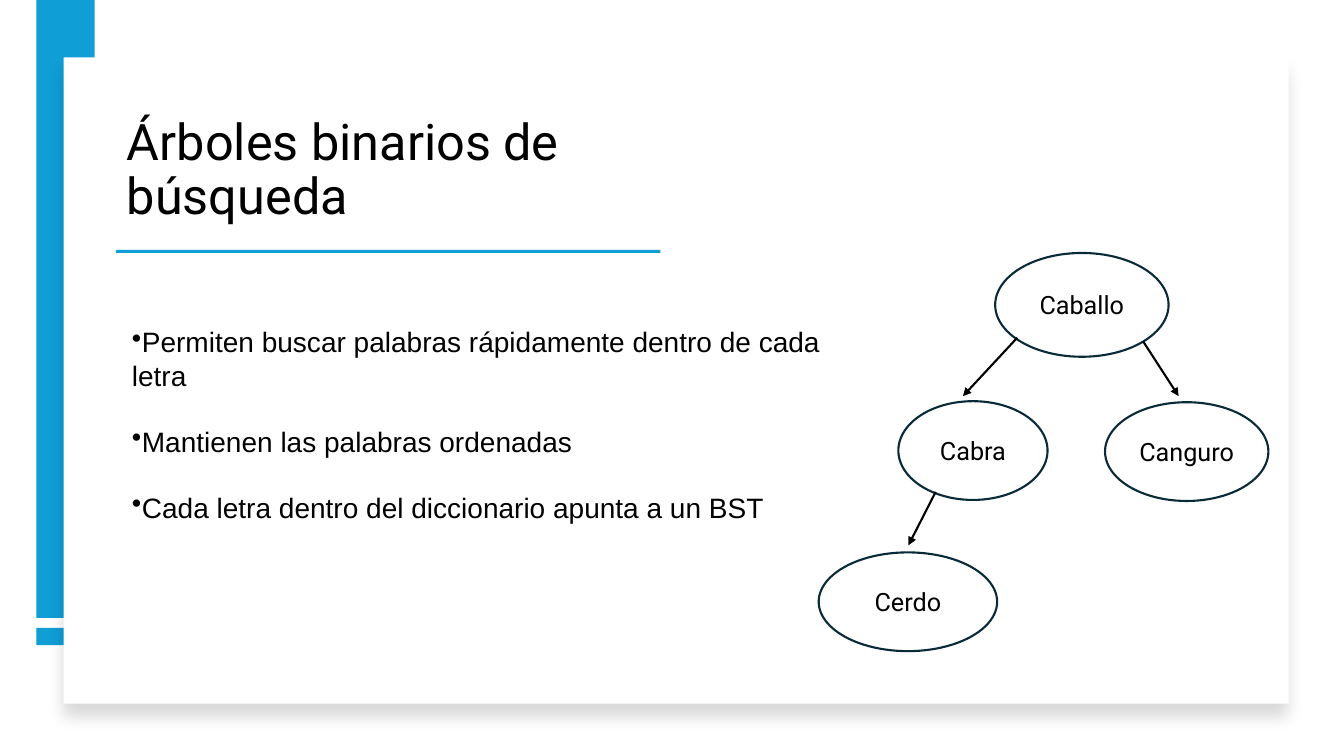
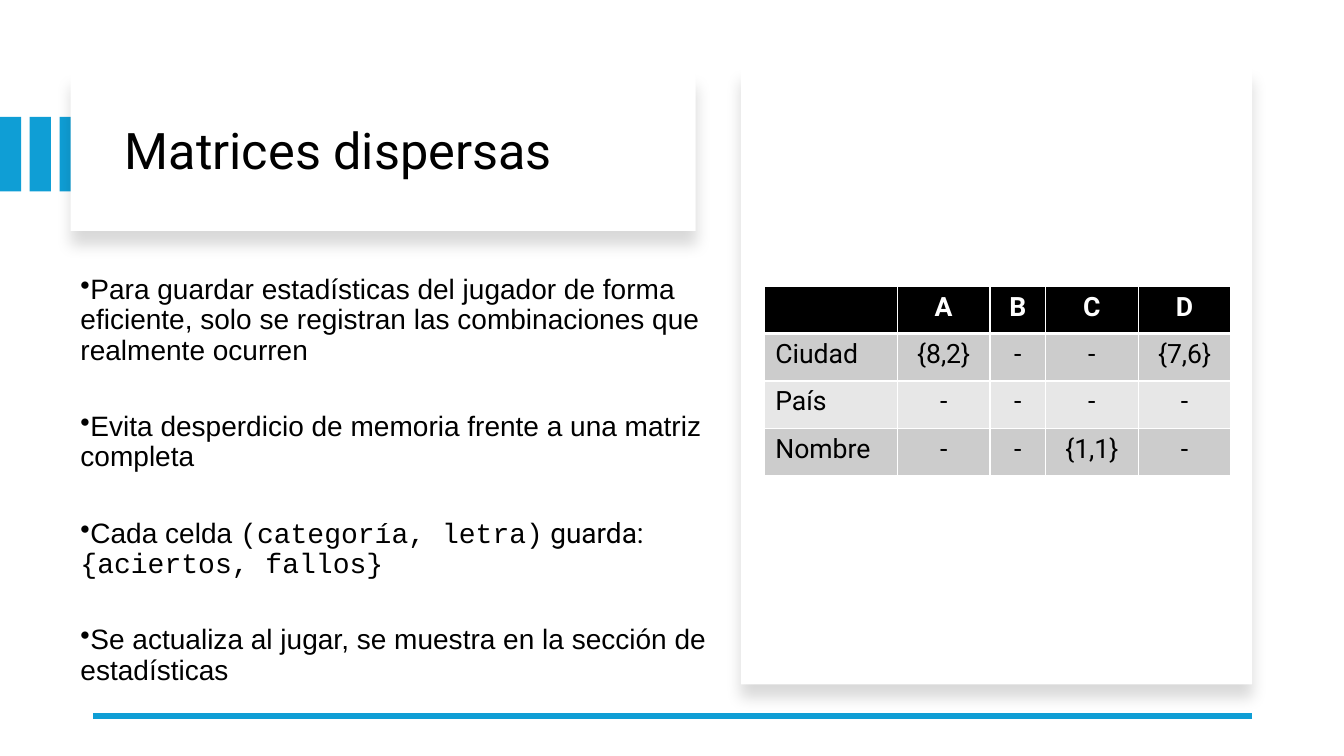
from dataclasses import dataclass

from lxml import etree
from pptx import Presentation
from pptx.dml.color import RGBColor
from pptx.enum.shapes import MSO_CONNECTOR, MSO_SHAPE
from pptx.enum.text import MSO_ANCHOR, MSO_AUTO_SIZE, PP_ALIGN
from pptx.oxml import parse_xml
from pptx.oxml.ns import nsdecls, qn
from pptx.util import Inches, Pt

RECTANGLE, ELLIPSE = MSO_SHAPE.RECTANGLE, MSO_SHAPE.OVAL
STRAIGHT = MSO_CONNECTOR.STRAIGHT
MIDDLE, BOTTOM = MSO_ANCHOR.MIDDLE, MSO_ANCHOR.BOTTOM
LEFT, CENTER = PP_ALIGN.LEFT, PP_ALIGN.CENTER
GROW = MSO_AUTO_SIZE.SHAPE_TO_FIT_TEXT


@dataclass(frozen=True)
class Theme:
    accent: str = "0F9ED5"
    paper: str = "FFFFFF"
    ink: str = "000000"
    node_line: str = "092A39"
    row_dark: str = "CCCCCC"
    row_light: str = "E7E7E7"
    heading_font: str = "Roboto"
    body_font: str = "Arial"
    code_font: str = "Courier New"
    title_size: int = 36
    body_size: int = 20
    cell_size: int = 19
    node_size: int = 18


THEME = Theme()
TITLE = {"name": THEME.heading_font, "size": Pt(THEME.title_size)}
BODY = {"name": THEME.body_font, "size": Pt(THEME.body_size)}
NODE = {"name": THEME.heading_font, "size": Pt(THEME.node_size)}
CELL = {"name": THEME.heading_font, "size": Pt(THEME.cell_size)}
CODE = {"name": THEME.code_font}
TITLE_PARAGRAPH = {"line_spacing": 0.9}

SHADOW = f"""<a:effectLst {nsdecls("a")}>
  <a:outerShdw blurRad="{Pt(11)}" dist="{Pt(10)}" dir="5400000" algn="t" rotWithShape="0">
    <a:srgbClr val="{THEME.ink}"><a:alpha val="15000"/></a:srgbClr>
  </a:outerShdw>
</a:effectLst>"""


def add_panel(page, at, fill=THEME.paper, kind=RECTANGLE, shadow=False):
    panel = page.shapes.add_shape(kind, *map(Inches, at))
    panel.fill.solid()
    panel.fill.fore_color.rgb = RGBColor.from_string(fill)
    panel.line.fill.background()
    panel.shadow.inherit = False
    if shadow:
        properties = panel._element.spPr
        properties.replace(properties.find(qn("a:effectLst")), parse_xml(SHADOW))
    return panel


def write_text(frame, paragraphs, style, frame_format, para_format,
               colour=THEME.ink, bullet=False, gap=0):
    """Write paragraphs, each a list of (text, font changes), gap points apart."""
    for name, value in frame_format.items():
        setattr(frame, name, value)
    for index, runs in enumerate(paragraphs):
        para = frame.paragraphs[0] if index == 0 else frame.add_paragraph()
        for name, value in para_format.items():
            setattr(para, name, value)
        if index < len(paragraphs) - 1:
            para.space_after = Pt(gap)
        if bullet:
            mark = etree.SubElement(para._p.get_or_add_pPr(), qn("a:buChar"))
            mark.set("char", "•")
        for text, changes in runs:
            span = para.add_run()
            span.text = text
            span.font.color.rgb = RGBColor.from_string(colour)
            for name, value in {**style, **changes}.items():
                setattr(span.font, name, value)


deck = Presentation()
deck.slide_width, deck.slide_height = Inches(13.33), Inches(7.5)
blank = deck.slide_layouts[6]
tree_page, matrix_page = [deck.slides.add_slide(blank) for _ in range(2)]

# Bands and raised panels
for page, at in [
    (tree_page, (0.36, 6.23, 0.58, 0.17)),
    (tree_page, (0.36, 0, 0.58, 6.13)),
    (tree_page, (1.15, 2.48, 5.4, 0.03)),
    *[(matrix_page, (0.295 * step, 1.16, 0.21, 0.74)) for step in range(3)],
]:
    add_panel(page, at, THEME.accent)
for page, at in [
    (tree_page, (0.63, 0.57, 12.15, 6.41)),
    (matrix_page, (0.7, 0.72, 6.2, 1.57)),
    (matrix_page, (7.35, 0.67, 5.07, 6.12)),
]:
    add_panel(page, at, shadow=True)

# The title rule lies on top of the first panel
add_rule = tree_page.shapes[2]._element
tree_page.shapes._spTree.append(add_rule)

# Titles and bullet lists
tree_points = [
    [("Permiten buscar palabras rápidamente dentro de cada letra", {})],
    [("Mantienen las palabras ordenadas", {})],
    [("Cada letra dentro del diccionario apunta a un BST", {})],
]
matrix_points = [
    [("Para guardar estadísticas del jugador de forma eficiente, solo se "
      "registran las combinaciones que realmente ocurren", {})],
    [("Evita desperdicio de memoria frente a una matriz completa", {})],
    [("Cada celda ", {}), ("(categoría, letra)", CODE),
     (" guarda: ", {"name": THEME.heading_font}), ("{aciertos, fallos}", CODE)],
    [("Se actualiza al jugar, se muestra en la sección de estadísticas", {})],
]
for page, at, paragraphs, style, frame_format, para_format, gap in [
    (tree_page, (1.16, 1.01, 5.51, 1.28), [[("Árboles binarios de búsqueda", {})]],
     TITLE, {"vertical_anchor": BOTTOM}, TITLE_PARAGRAPH, 0),
    (tree_page, (1.21, 3.15, 7.59, 2.12), tree_points,
     BODY, {"vertical_anchor": MIDDLE, "auto_size": GROW}, {}, 23),
    (matrix_page, (1.14, 0.96, 5.53, 1.13), [[("Matrices dispersas", {})]],
     TITLE, {"vertical_anchor": MIDDLE}, TITLE_PARAGRAPH, 0),
    (matrix_page, (0.7, 2.76, 6.43, 4.02), matrix_points,
     BODY, {"vertical_anchor": MIDDLE}, {"line_spacing": 0.9}, 33),
]:
    box = page.shapes.add_textbox(*map(Inches, at))
    write_text(box.text_frame, paragraphs, style, {"word_wrap": True, **frame_format},
               para_format, bullet=style is BODY, gap=gap)

# Search tree nodes
for word, at in [
    ("Caballo", (9.87, 2.51, 1.72, 1.03)),
    ("Cabra", (8.91, 3.98, 1.48, 0.98)),
    ("Canguro", (10.96, 3.99, 1.62, 0.98)),
    ("Cerdo", (8.12, 5.48, 1.77, 0.98)),
]:
    node = add_panel(tree_page, at, kind=ELLIPSE)
    node.line.color.rgb = RGBColor.from_string(THEME.node_line)
    node.line.width = Pt(1.5)
    write_text(node.text_frame, [[(word, {})]], NODE,
               {"vertical_anchor": MIDDLE}, {"alignment": CENTER})

# Tree arrows and the footer line
for page, ends, colour, width, has_arrow in [
    (tree_page, (10.09, 3.35, 9.55, 3.93), THEME.ink, 1.5, True),
    (tree_page, (11.34, 3.39, 11.69, 3.93), THEME.ink, 1.5, True),
    (tree_page, (9.28, 4.88, 9.01, 5.41), THEME.ink, 1.5, True),
    (matrix_page, (12.42, 7.1, 0.92, 7.1), THEME.accent, 4.5, False),
]:
    connector = page.shapes.add_connector(STRAIGHT, *map(Inches, ends))
    connector.line.color.rgb = RGBColor.from_string(colour)
    connector.line.width = Pt(width)
    if has_arrow:
        etree.SubElement(connector.line._ln, qn("a:tailEnd")).set("type", "triangle")
    etree.SubElement(connector._element.spPr, qn("a:effectLst"))

# Sparse matrix
matrix_rows = [
    ["", "A", "B", "C", "D"],
    ["Ciudad", "{8,2}", "-", "-", "{7,6}"],
    ["País", "-", "-", "-", "-"],
    ["Nombre", "-", "-", "{1,1}", "-"],
]
row_fills = [THEME.ink, THEME.row_dark, THEME.row_light, THEME.row_dark]
column_widths = [1.32, 0.92, 0.55, 0.92, 0.92]
matrix = matrix_page.shapes.add_table(
    len(matrix_rows), len(column_widths),
    *map(Inches, (7.58, 2.84, sum(column_widths), 1.88))).table
for column, width in zip(matrix.columns, column_widths):
    column.width = Inches(width)
for row_index, (texts, fill) in enumerate(zip(matrix_rows, row_fills)):
    is_header = row_index == 0
    borders = {"lnL": 1, "lnR": 1, "lnT": 3 if row_index == 1 else 1,
               "lnB": 3 if is_header else 1}
    for column_index, text in enumerate(texts):
        cell = matrix.cell(row_index, column_index)
        cell.margin_left = cell.margin_right = Inches(0.11)
        for side, width in borders.items():
            cell._tc.get_or_add_tcPr().append(parse_xml(
                f'<a:{side} {nsdecls("a")} w="{Pt(width)}"><a:solidFill>'
                f'<a:srgbClr val="{THEME.paper}"/></a:solidFill></a:{side}>'))
        cell.fill.solid()
        cell.fill.fore_color.rgb = RGBColor.from_string(fill)
        if text:
            write_text(cell.text_frame, [[(text, {"bold": is_header})]], CELL, {},
                       {"alignment": CENTER if column_index else LEFT},
                       THEME.paper if is_header else THEME.ink)

deck.save("out.pptx")
